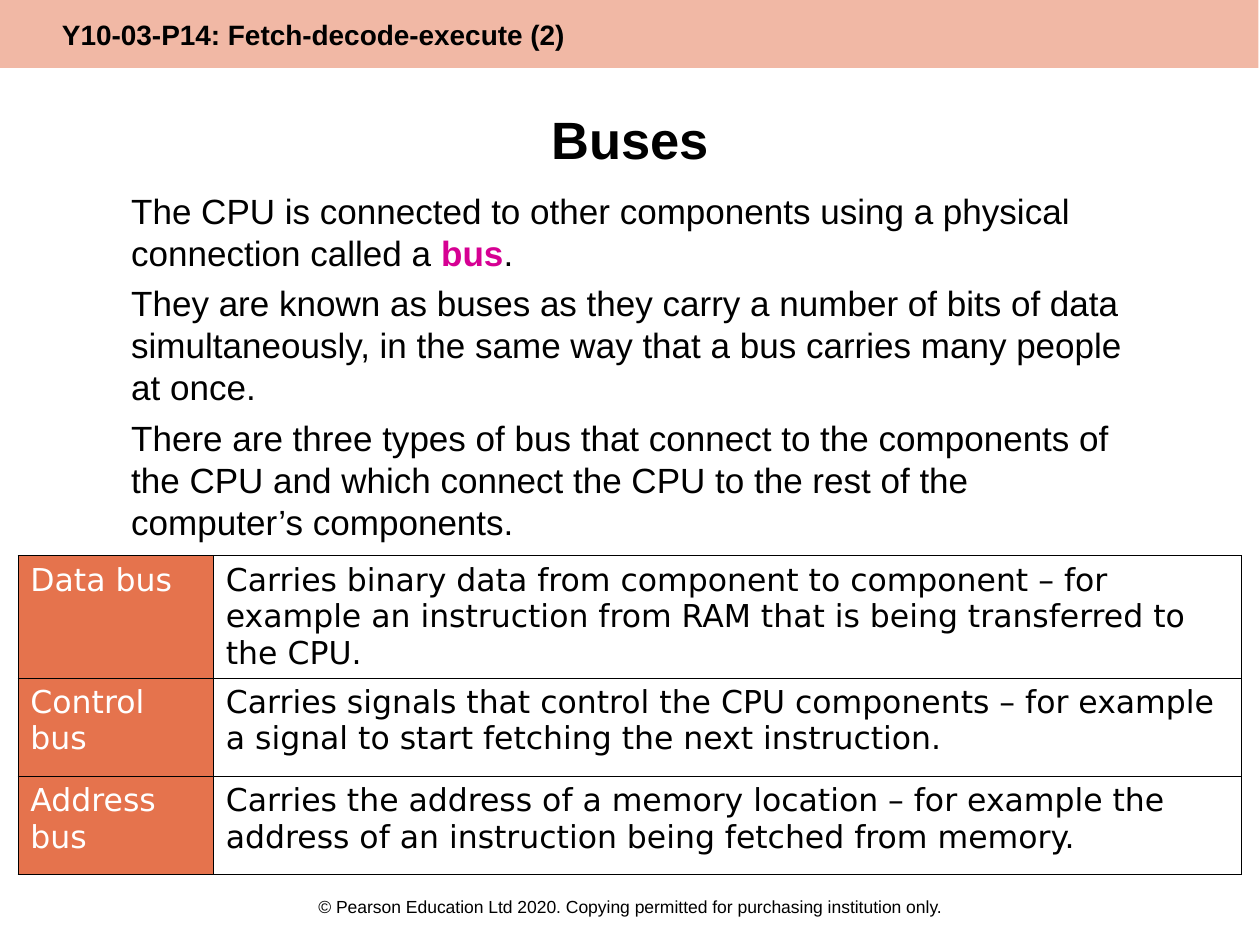
from pptx import Presentation
from pptx.dml.color import RGBColor
from pptx.enum.shapes import MSO_SHAPE
from pptx.enum.text import MSO_ANCHOR, MSO_AUTO_SIZE, PP_ALIGN
from pptx.oxml import parse_xml
from pptx.oxml.ns import nsdecls
from pptx.util import Cm, Pt

RECTANGLE = MSO_SHAPE.RECTANGLE
TOP, MIDDLE = MSO_ANCHOR.TOP, MSO_ANCHOR.MIDDLE
LEFT, CENTER = PP_ALIGN.LEFT, PP_ALIGN.CENTER
NO_AUTOFIT = MSO_AUTO_SIZE.NONE
ORANGE, MAGENTA, BLACK, WHITE = "E5734D", "D60093", "000000", "FFFFFF"


def color(hex_value):
    return RGBColor.from_string(hex_value)


def add_span(para, text, hex_value=BLACK, **formats):
    span = para.add_run()
    span.text = text
    span.font.color.rgb = color(hex_value)
    for name, value in ({"name": "Arial", "bold": False} | formats).items():
        setattr(span.font, name, value)


deck = Presentation()
deck.slide_width, deck.slide_height = Cm(25.4), Cm(19.05)
slide = deck.slides.add_slide(deck.slide_layouts[1])
shapes = slide.shapes

# Header band
band = shapes.add_shape(RECTANGLE, 0, 0, Cm(25.37), Cm(1.37))
band.shadow.inherit = False
band.line.fill.background()
band.fill.solid()
band.fill.fore_color.rgb = color(ORANGE)
band_color = band.fill._xPr.solidFill[0]
band_color.append(parse_xml(f'<a:alpha {nsdecls("a")} val="50000"/>'))

# Text frames
footer = shapes.add_textbox(0, Cm(17.93), Cm(25.4), Cm(0.79))
title, body = shapes.title, slide.placeholders[1]
for box, place in ((title, (1.27, 1.93, 22.86, 2.39)),
                   (body, (2.39, 3.63, 20.6, 7.49))):
    box.left, box.top, box.width, box.height = map(Cm, place)
for box, anchor, margin_top in ((band, MIDDLE, 0.13), (footer, TOP, 0.13),
                                (title, TOP, 0.23), (body, TOP, 0.18)):
    formats = {"word_wrap": True, "auto_size": NO_AUTOFIT,
               "vertical_anchor": anchor, "margin_top": Cm(margin_top)}
    for name, value in formats.items():
        setattr(box.text_frame, name, value)

# Header, title and footer text
for box, text, size, bold, alignment in (
    (band, "Y10-03-P14: Fetch-decode-execute (2)", 16, True, LEFT),
    (title, "Buses", 30, True, CENTER),
    (footer, "© Pearson Education Ltd 2020. Copying permitted for "
             "purchasing institution only.", 10, False, CENTER),
):
    para = box.text_frame.paragraphs[0]
    para.alignment = alignment
    add_span(para, text, size=Pt(size), bold=bold)
band.text_frame.paragraphs[0]._p.get_or_add_pPr().set("marL", str(Cm(1)))

# Body paragraphs, each a list of text and colour
paragraphs = [
    [("The CPU is connected to other components using a physical "
      "connection called a ", BLACK), ("bus", MAGENTA), (".", BLACK)],
    [("They are known as buses as they carry a number of bits of data "
      "simultaneously, in the same way that a bus carries many people "
      "at once.", BLACK)],
    [("There are three types of bus that connect to the components of the "
      "CPU and which connect the CPU to the rest of the computer’s "
      "components.", BLACK)],
]
for index, spans in enumerate(paragraphs):
    frame = body.text_frame
    para = frame.add_paragraph() if index else frame.paragraphs[0]
    properties = para._p.get_or_add_pPr()
    properties.set("marL", "0")
    properties.set("indent", "0")
    properties.append(parse_xml(f'<a:buNone {nsdecls("a")}/>'))
    para.space_before = Pt(5 if index else 0)
    para.line_spacing = Pt(24)
    for text, hex_value in spans:
        add_span(para, text, hex_value, size=Pt(20), bold=hex_value == MAGENTA)

# Table of bus types
buses = [
    ("Data bus", "Carries binary data from component to component – for "
     "example an instruction from RAM that is being transferred to the CPU."),
    ("Control bus", "Carries signals that control the CPU components – for "
     "example a signal to start fetching the next instruction."),
    ("Address bus", "Carries the address of a memory location – for example "
     "the address of an instruction being fetched from memory."),
]
table = shapes.add_table(len(buses), 2, Cm(0.36), Cm(11.2),
                         Cm(24.67), Cm(6.09)).table
table.first_row = table.horz_banding = False
for column, width in zip(table.columns, (3.94, 20.73)):
    column.width = Cm(width)
for row, height, texts in zip(table.rows, (2.13, 1.98, 1.98), buses):
    row.height = Cm(height)
    for cell, text, hex_value in zip(row.cells, texts, (WHITE, BLACK)):
        add_span(cell.text_frame.paragraphs[0], text, hex_value,
                 size=Pt(18), name="DejaVu Sans")
        for side in "LRTB":
            cell._tc.get_or_add_tcPr().append(parse_xml(
                f'<a:ln{side} {nsdecls("a")} w="{Pt(0.45)}"><a:solidFill>'
                f'<a:srgbClr val="{BLACK}"/></a:solidFill></a:ln{side}>'))
        if hex_value == WHITE:
            cell.fill.solid()
            cell.fill.fore_color.rgb = color(ORANGE)
        else:
            cell.fill.background()

deck.save("out.pptx")
